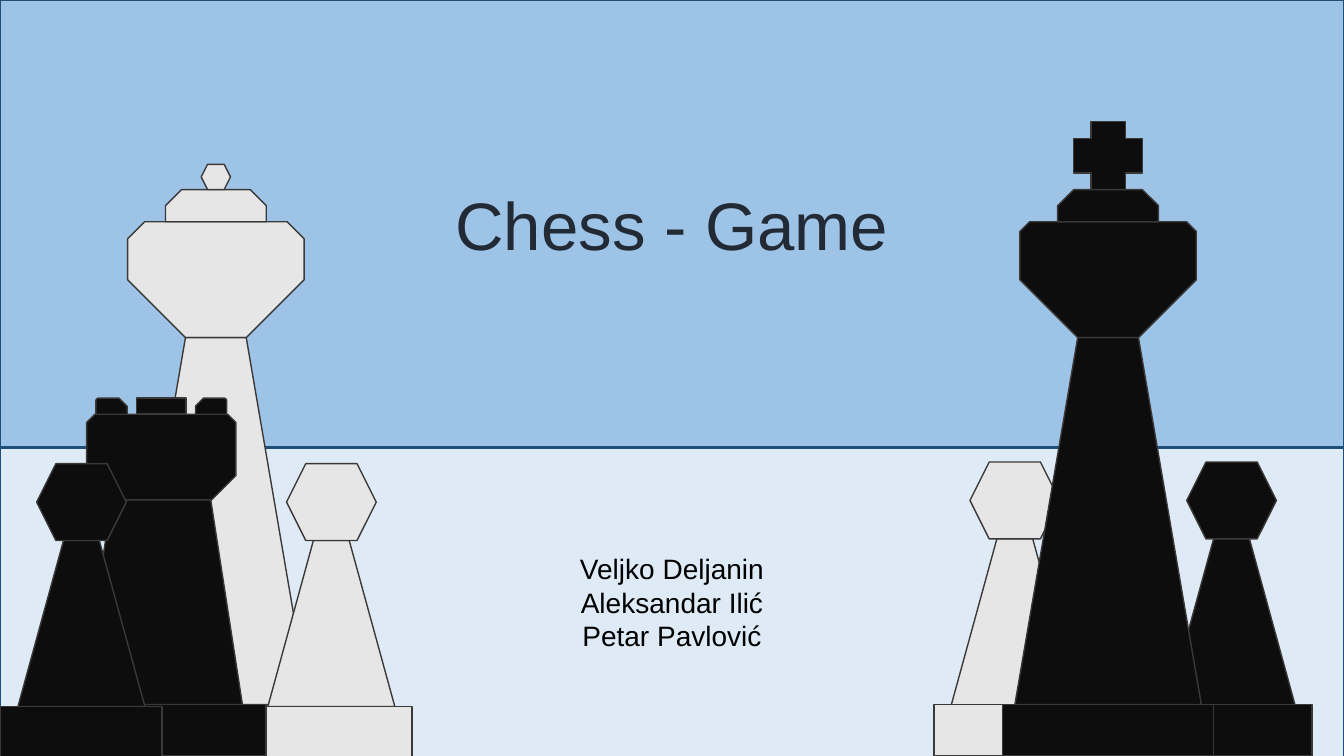
from dataclasses import dataclass

from pptx import Presentation
from pptx.dml.color import RGBColor
from pptx.enum.shapes import MSO_SHAPE
from pptx.enum.text import MSO_ANCHOR, MSO_AUTO_SIZE, PP_ALIGN
from pptx.shapes.autoshape import Shape
from pptx.shapes.shapetree import GroupShapes, SlideShapes
from pptx.text.text import TextFrame
from pptx.util import Pt

RECTANGLE = MSO_SHAPE.RECTANGLE
TRAPEZOID = MSO_SHAPE.TRAPEZOID
HEXAGON = MSO_SHAPE.HEXAGON
CROSS = MSO_SHAPE.CROSS
SNIPPED = MSO_SHAPE.SNIP_2_SAME_RECTANGLE
SNIP_ROUND = MSO_SHAPE.SNIP_ROUND_RECTANGLE
CENTER = PP_ALIGN.CENTER
MIDDLE = MSO_ANCHOR.MIDDLE
GROW = MSO_AUTO_SIZE.SHAPE_TO_FIT_TEXT

SLIDE_WIDTH, SLIDE_HEIGHT, HORIZON = 960, 540, 319.3
WHITE, BLACK, OUTLINE = "E7E6E6", "0D0D0D", "3B3838"
SKY, BOARD, EDGE = "9DC3E6", "DEEBF7", "1F4E79"


@dataclass(frozen=True)
class Section:
    preset: MSO_SHAPE
    top: float
    width: float
    height: float
    adjustments: tuple[float, ...] = ()
    offset: float = 0
    rotation: float = 0
    mirrored: bool = False


@dataclass(frozen=True)
class Piece:
    sections: tuple[Section, ...]
    center: float
    color: str
    drop: float = 0


def rgb(color: str) -> RGBColor:
    return RGBColor.from_string(color)


def draw_shape(shapes: SlideShapes | GroupShapes, preset: MSO_SHAPE, left: float,
               top: float, width: float, height: float, fill: str, line: str) -> Shape:
    shape = shapes.add_shape(preset, Pt(left), Pt(top), Pt(width), Pt(height))
    shape.shadow.inherit = False
    shape.fill.solid()
    shape.fill.fore_color.rgb = rgb(fill)
    shape.line.color.rgb = rgb(line)
    shape.line.width = Pt(1)
    return shape


def draw_piece(shapes: SlideShapes, piece: Piece) -> None:
    group = shapes.add_group_shape()
    for section in piece.sections:
        left = piece.center + section.offset - section.width / 2
        shape = draw_shape(group.shapes, section.preset, left, section.top + piece.drop,
                           section.width, section.height, piece.color, OUTLINE)
        for index, value in enumerate(section.adjustments):
            shape.adjustments[index] = value
        shape.rotation = section.rotation
        if section.mirrored:
            shape.element.spPr.xfrm.set("flipH", "1")


def write(frame: TextFrame, paragraphs: tuple[tuple[str, ...], ...],
          size: float, color: str, frame_format: dict[str, object]) -> None:
    for name, value in frame_format.items():
        setattr(frame, name, value)
    font_format = {"name": "Arial", "size": Pt(size)}
    for index, lines in enumerate(paragraphs):
        paragraph = frame.add_paragraph() if index else frame.paragraphs[0]
        paragraph.alignment = CENTER
        for number, line in enumerate(lines):
            if number:
                paragraph.add_line_break()
            run = paragraph.add_run()
            run.text = line
            for name, value in font_format.items():
                setattr(run.font, name, value)
            run.font.color.rgb = rgb(color)


def royal_head(bevel: float) -> Section:
    return Section(SNIPPED, 158.4, 126, 82.8, (0.5, bevel), rotation=180)


ROYAL_BODY = Section(TRAPEZOID, 241.2, 133.2, 262.1, (0.337,))
ROYAL_BASE = Section(RECTANGLE, 503.3, 150.5, 36.7)
ROYAL_COLLAR = Section(SNIPPED, 135.4, 72, 23, (0.5, 0))
QUEEN = (royal_head(0.146), ROYAL_BASE, ROYAL_COLLAR,
         Section(HEXAGON, 117.4, 20.9, 18), ROYAL_BODY)
KING = (royal_head(0.083), Section(CROSS, 86.8, 49, 49),
        ROYAL_BODY, ROYAL_BASE, ROYAL_COLLAR)
PAWN = (Section(TRAPEZOID, 384.9, 90.7, 118.6, (0.359,)),
        Section(RECTANGLE, 503.3, 115.2, 36.7),
        Section(HEXAGON, 330, 64.1, 54.9))
ROOK = (Section(SNIPPED, 295.9, 106.6, 61.2, (0.284, 0.096), rotation=180),
        Section(TRAPEZOID, 357.1, 115.9, 146.2, (0.195,)),
        Section(RECTANGLE, 503.3, 149.8, 36.7),
        Section(RECTANGLE, 284.4, 35.3, 11.5),
        Section(SNIP_ROUND, 284.4, 22.3, 11.5, (0.167, 0.5), offset=-35.6),
        Section(SNIP_ROUND, 284.4, 22.3, 11.5, (0.167, 0.5), offset=35.6, mirrored=True))

PIECES = (
    Piece(QUEEN, 154.2, WHITE),
    Piece(PAWN, 236.7, WHITE, drop=1.2),
    Piece(PAWN, 724.9, WHITE),
    Piece(PAWN, 879.7, BLACK),
    Piece(KING, 791.5, BLACK),
    Piece(ROOK, 115.2, BLACK),
    Piece(PAWN, 58.2, BLACK, drop=1.2),
)
AUTHORS = (("Veljko Deljanin", "Aleksandar Ilić"), ("Petar Pavlović",))


def main() -> None:
    presentation = Presentation()
    presentation.slide_width = Pt(SLIDE_WIDTH)
    presentation.slide_height = Pt(SLIDE_HEIGHT)
    shapes = presentation.slides.add_slide(presentation.slide_layouts[6]).shapes

    draw_shape(shapes, RECTANGLE, 0, HORIZON + 0.7, SLIDE_WIDTH,
               SLIDE_HEIGHT - HORIZON, BOARD, EDGE)
    sky = draw_shape(shapes, RECTANGLE, 0, 0, SLIDE_WIDTH, HORIZON, SKY, EDGE)
    write(sky.text_frame, (("Chess - Game",),), 48, "222A35",
          {"vertical_anchor": MIDDLE, "word_wrap": True})

    for piece in PIECES:
        draw_piece(shapes, piece)

    authors = shapes.add_textbox(Pt(380), Pt(390.4), Pt(200), Pt(80))
    write(authors.text_frame, AUTHORS, 20, "000000",
          {"word_wrap": True, "auto_size": GROW})

    presentation.save("out.pptx")


if __name__ == "__main__":
    main()
